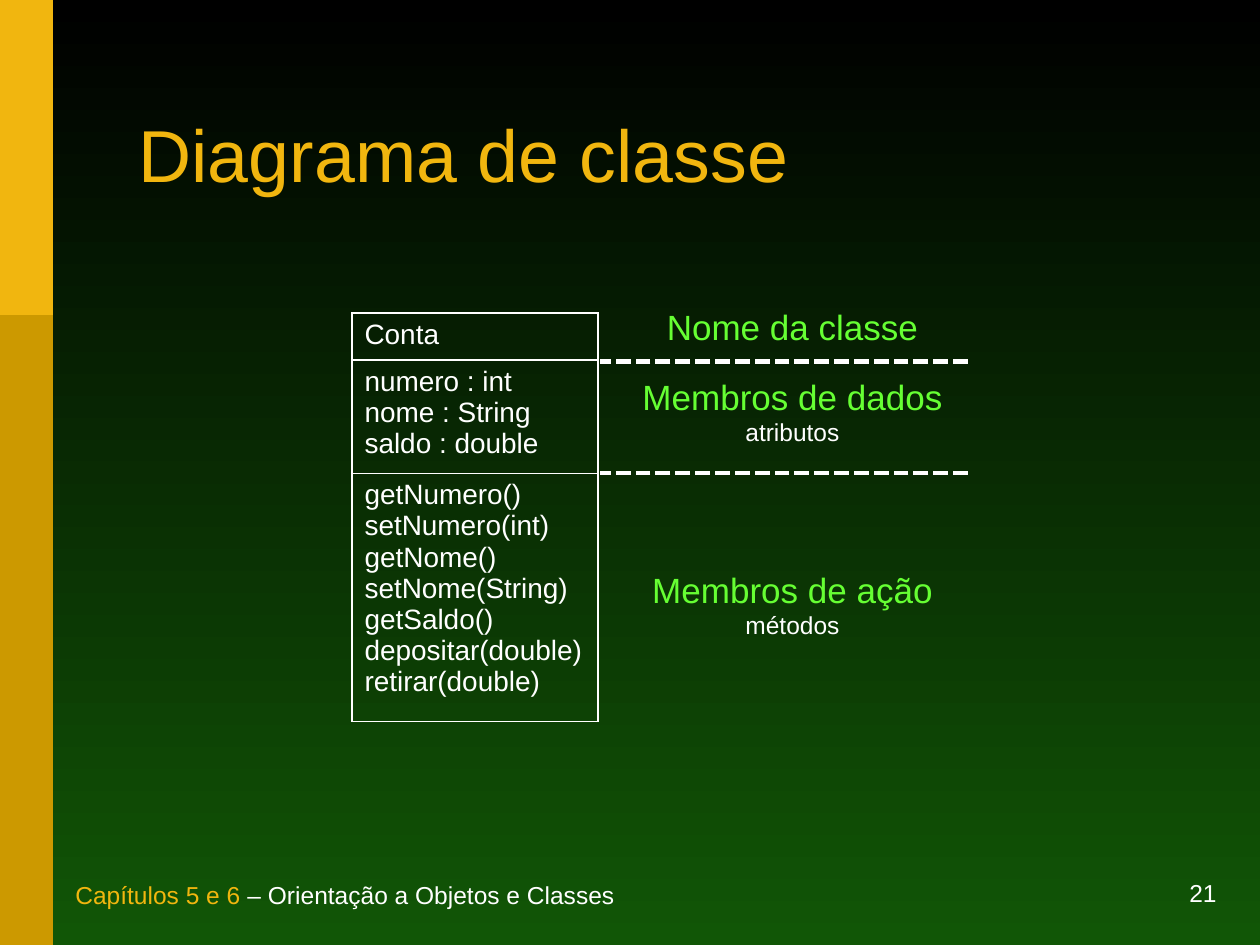
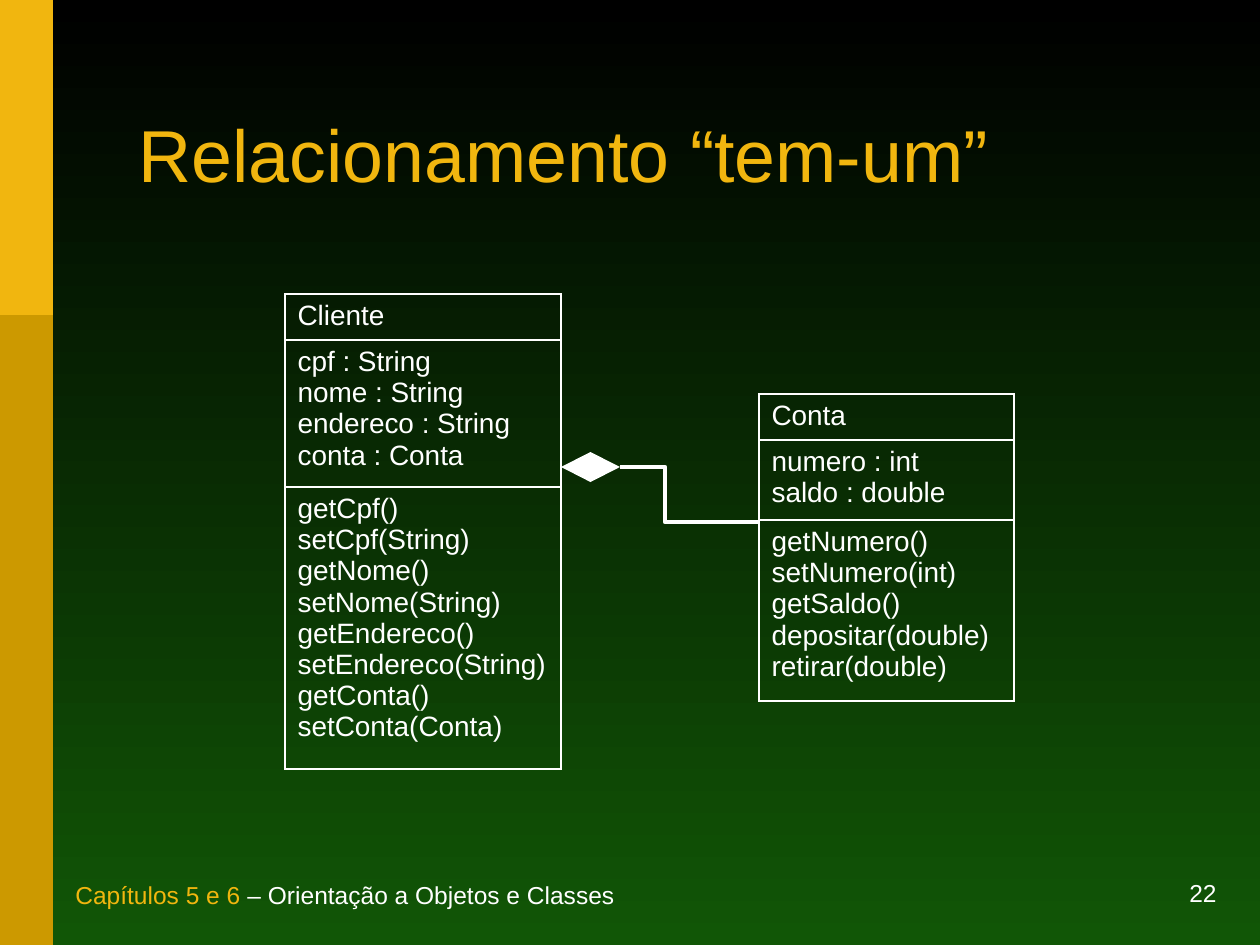
from lxml.etree import SubElement
from pptx import Presentation
from pptx.dml.color import RGBColor
from pptx.enum.dml import MSO_LINE
from pptx.enum.shapes import MSO_CONNECTOR, MSO_SHAPE
from pptx.enum.text import MSO_ANCHOR, MSO_AUTO_SIZE, PP_ALIGN
from pptx.oxml.ns import qn
from pptx.util import Emu, Pt

EMU_PER_PX = 914400 / 126
SLIDE_W, SLIDE_H = 1260, 945
FONT = "Arial"
COLORS = {
    "night": "000000",
    "forest": "115606",
    "gold": "F1B60F",
    "ochre": "CC9900",
    "white": "FFFFFF",
    "lime": "66FF33",
}
BORDER_PT = 1.08


def px(length):
    return Emu(round(length * EMU_PER_PX))


def box(*lengths):
    return [px(length) for length in lengths]


def rgb(name):
    return RGBColor.from_string(COLORS[name])


def add_run(paragraph, text, size, color):
    run = paragraph.add_run()
    run.text = text
    run.font.name = FONT
    run.font.size = Pt(size)
    run.font.color.rgb = rgb(color)


def add_lines(paragraph, lines):
    for index, (text, size, color) in enumerate(lines):
        if index:
            paragraph.add_line_break()
        add_run(paragraph, text, size, color)


def add_text(slide, area, align, anchor=MSO_ANCHOR.TOP):
    frame = slide.shapes.add_textbox(*box(*area)).text_frame
    frame.word_wrap = True
    frame.vertical_anchor = anchor
    paragraph = frame.paragraphs[0]
    paragraph.alignment = align
    return paragraph


def add_solid(slide, preset, area, color):
    solid = slide.shapes.add_shape(preset, *box(*area))
    solid.shadow.inherit = False
    solid.fill.solid()
    solid.fill.fore_color.rgb = rgb(color)
    solid.line.fill.background()


def add_line(slide, kind, ends, width):
    line = slide.shapes.add_connector(kind, *box(*ends))
    line.line.color.rgb = rgb("white")
    line.line.width = Pt(width)
    SubElement(line._element.spPr, qn("a:effectLst"))
    return line


def paint_background(master):
    fill = master.background.fill
    fill.gradient()
    fill.gradient_angle = 270
    for stop, color in zip(fill.gradient_stops, ("night", "forest")):
        stop.color.rgb = rgb(color)


def start_slide(prs, heading, number):
    slide = prs.slides.add_slide(prs.slide_layouts[5])
    add_solid(slide, MSO_SHAPE.RECTANGLE, (0, 0, 53, SLIDE_H), "ochre")
    add_solid(slide, MSO_SHAPE.RECTANGLE, (0, 0, 53, SLIDE_H // 3), "gold")

    page = add_text(slide, (914, 882, 315, 32), PP_ALIGN.RIGHT, MSO_ANCHOR.BOTTOM)
    add_run(page, str(number), 14, "white")
    footer = add_text(slide, (63, 882, 843, 34), PP_ALIGN.LEFT, MSO_ANCHOR.BOTTOM)
    add_run(footer, "Capítulos 5 e 6", 14, "gold")
    add_run(footer, " – Orientação a Objetos e Classes", 14, "white")

    title = slide.shapes.title
    title.left, title.top, title.width, title.height = box(126, 79, 1037, 163)
    title.text_frame.auto_size = MSO_AUTO_SIZE.NONE
    title.text_frame.vertical_anchor = MSO_ANCHOR.MIDDLE
    paragraph = title.text_frame.paragraphs[0]
    paragraph.alignment = PP_ALIGN.LEFT
    paragraph.line_spacing = 0.85
    add_run(paragraph, heading, 42, "gold")
    return slide


def add_borders(cell):
    properties = cell._tc.get_or_add_tcPr()
    for side in ("a:lnL", "a:lnR", "a:lnT", "a:lnB"):
        border = SubElement(properties, qn(side), w=str(Pt(BORDER_PT)))
        fill = SubElement(border, qn("a:solidFill"))
        SubElement(fill, qn("a:srgbClr"), val=COLORS["white"])


def add_class(slide, left, top, width, compartments):
    total = sum(height for height, _ in compartments)
    table = slide.shapes.add_table(
        len(compartments), 1, *box(left, top, width, total)
    ).table
    table.first_row = table.horz_banding = False
    for row, (height, members) in zip(table.rows, compartments):
        row.height = px(height)
        cell = row.cells[0]
        add_borders(cell)
        cell.fill.background()
        paragraph = cell.text_frame.paragraphs[0]
        paragraph.space_before = Pt(12)
        add_lines(paragraph, [(member, 16, "white") for member in members])


def add_label(slide, top, height, name, detail=None):
    paragraph = add_text(slide, (530, top, 525, height), PP_ALIGN.CENTER)
    paragraph.space_before = Pt(7.5)
    lines = [(name, 20, "lime")]
    if detail:
        lines.append((detail, 14, "white"))
    add_lines(paragraph, lines)


def add_divider(slide, y):
    divider = add_line(slide, MSO_CONNECTOR.STRAIGHT, (968, y, 600, y), 2.83)
    divider.line.dash_style = MSO_LINE.SQUARE_DOT


def add_aggregation(slide, owner_x, owner_y, part_x, part_y):
    diamond_w, diamond_h = 59, 30
    link = add_line(
        slide, MSO_CONNECTOR.ELBOW,
        (owner_x + diamond_w, owner_y, part_x, part_y), 2.5,
    )
    guides = link._element.spPr.find(qn("a:prstGeom")).find(qn("a:avLst"))
    SubElement(guides, qn("a:gd"), name="adj1", fmla="val 32500")
    add_solid(
        slide, MSO_SHAPE.FLOWCHART_DECISION,
        (owner_x, owner_y - diamond_h // 2, diamond_w, diamond_h), "white",
    )


def build_class_diagram(prs):
    slide = start_slide(prs, "Diagrama de classe", 21)
    add_class(slide, 352, 313, 246, [
        (47, ["Conta"]),
        (113, ["numero : int", "nome : String", "saldo : double"]),
        (248, ["getNumero()", "setNumero(int)", "getNome()", "setNome(String)",
               "getSaldo()", "depositar(double)", "retirar(double)"]),
    ])
    add_label(slide, 299, 55, "Nome da classe")
    add_label(slide, 369, 84, "Membros de dados", "atributos")
    add_label(slide, 562, 84, "Membros de ação", "métodos")
    for y in (362, 473):
        add_divider(slide, y)


def build_has_a(prs):
    slide = start_slide(prs, "Relacionamento “tem-um”", 22)
    add_aggregation(slide, 561, 467, 759, 522)
    add_class(slide, 285, 294, 276, [
        (46, ["Cliente"]),
        (147, ["cpf : String", "nome : String", "endereco : String",
               "conta : Conta"]),
        (282, ["getCpf()", "setCpf(String)", "getNome()", "setNome(String)",
               "getEndereco()", "setEndereco(String)", "getConta()",
               "setConta(Conta)"]),
    ])
    add_class(slide, 759, 394, 255, [
        (46, ["Conta"]),
        (80, ["numero : int", "saldo : double"]),
        (180, ["getNumero()", "setNumero(int)", "getSaldo()",
               "depositar(double)", "retirar(double)"]),
    ])


def main():
    prs = Presentation()
    prs.slide_width, prs.slide_height = box(SLIDE_W, SLIDE_H)
    paint_background(prs.slide_master)
    build_class_diagram(prs)
    build_has_a(prs)
    prs.save("out.pptx")


if __name__ == "__main__":
    main()
